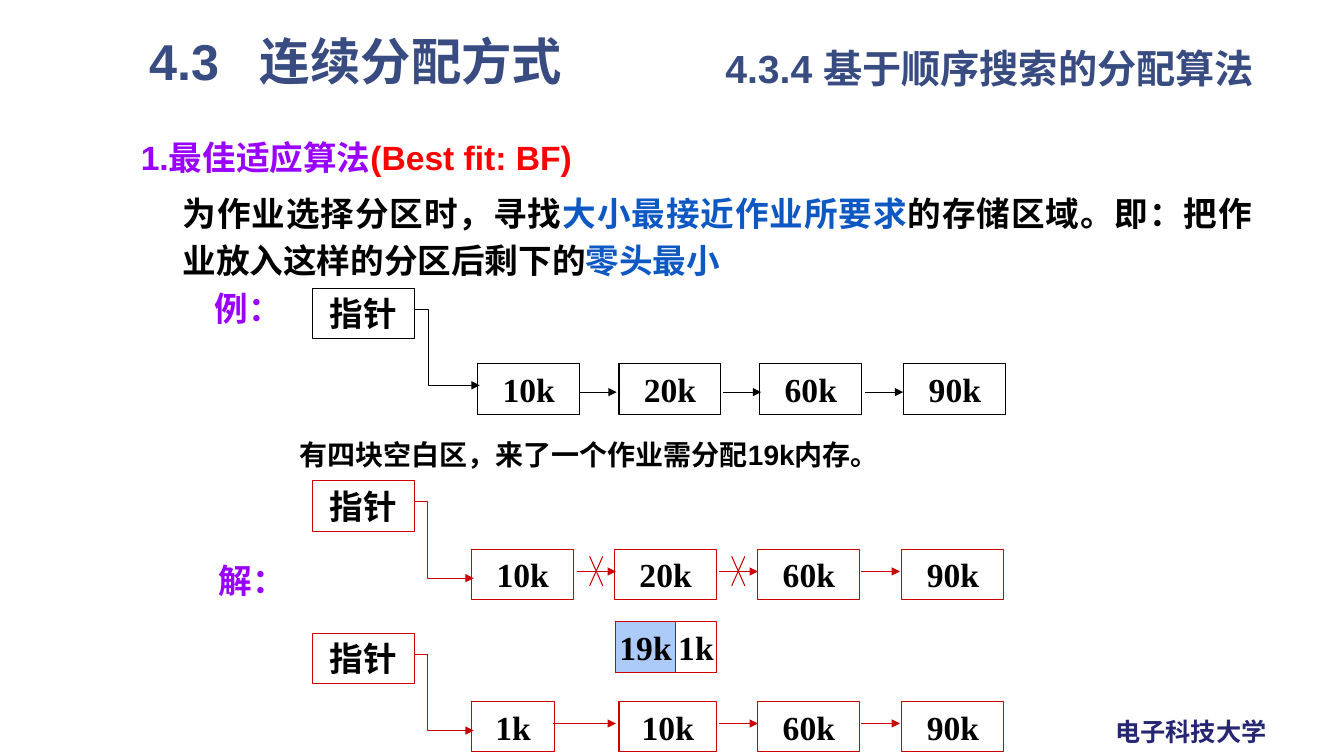
"""Slide on best-fit memory allocation with free-block chains before and after the request."""
from dataclasses import dataclass, field
from typing import Any, Optional

from lxml import etree
from pptx import Presentation
from pptx import util as u
from pptx.dml.color import RGBColor
from pptx.enum import shapes, text
from pptx.oxml.ns import qn

COLORS = {
    "ink": "000000", "red_line": "CC0000", "red": "FF0000", "violet": "9900FF",
    "blue": "0E58C4", "navy": "384C81", "footer": "262673", "allocated": "ACCBF9",
}
SANS, SERIF = "Arial", "Times New Roman"
BLOCK_W, BLOCK_H = 2.57, 1.27
POINTER_LEFT = 7.87
ELBOW_START, ELBOW_DROP = 10.46, 1.92
LINE_WIDTH = u.Pt(0.75)


@dataclass
class Caption:
    left: float
    top: float
    width: float
    height: float
    pieces: list[tuple[str, str]]
    size: int = 24
    face: str = SANS
    wrap: bool = True
    margins: tuple[float, float] = (0.25, 0.13)
    layout: dict[str, Any] = field(default_factory=dict)
    indent: float = 0
    tab: float = 0


@dataclass
class Block:
    label: str
    left: float
    width: float = BLOCK_W


@dataclass
class Chain:
    color: str
    top: float
    blocks_top: float
    arrow_y: float
    elbow_x: float
    elbow_end: float
    blocks: list[Block]
    arrows: list[tuple[float, float]]
    crosses: tuple[float, ...] = ()


JUSTIFY = text.PP_ALIGN.JUSTIFY
CAPTIONS = [
    Caption(27.86, 17.91, 4.37, 1.02, [("电子科技大学", "footer")], 18, wrap=False),
    Caption(3.51, 0.79, 12.8, 1.52, [("4.3\t连续分配方式", "navy")], 36,
            layout={"line_spacing": 0.9}, tab=2.79),
    Caption(18.03, 1.12, 14.1, 1.7, [("4.3.4 基于顺序搜索的分配算法", "navy")], 28,
            layout={"line_spacing": 0.9}),
    Caption(3.3, 3.23, 22.02, 1.4,
            [("1.最佳适应算法", "violet"), ("(Best fit: BF)", "red")],
            layout={"alignment": JUSTIFY, "line_spacing": 1.1}),
    Caption(4.37, 4.62, 27.41, 2.59,
            [("为作业选择分区时，寻找", "ink"), ("大小最接近作业所要求", "blue"),
             ("的存储区域。即：把作业放入这样的分区后剩下的", "ink"), ("零头最小", "blue")],
            margins=(0.23, 0.1), layout={"alignment": JUSTIFY, "line_spacing": 1.15}),
    Caption(5.21, 7.16, 2.13, 1.24, [("例：", "violet")], face=SERIF, wrap=False,
            margins=(0.2, 0.1)),
    Caption(5.82, 10.67, 21.69, 1.22,
            [("有四块空白区，来了一个作业需分配19k内存。", "ink")], 20, margins=(0.2, 0.1),
            layout={"alignment": JUSTIFY, "line_spacing": 1.3}, indent=1.52),
    Caption(5.31, 14.0, 2.13, 1.24, [("解：", "violet")], face=SERIF, wrap=False,
            margins=(0.2, 0.1)),
]

TAIL_ARROWS = [(18.11, 19.1), (21.69, 22.68)]
TAIL_BLOCKS = [Block("60k", 19.1), Block("90k", 22.73)]
CHAINS = [
    Chain("ink", 7.26, 9.17, 9.88, 10.8, 12.09,
          [Block("10k", 12.04), Block("20k", 15.6), Block("60k", 19.15), Block("90k", 22.78)],
          [(14.58, 15.54), (18.21, 19.18), (21.79, 22.76)]),
    Chain("red_line", 12.12, 13.84, 14.4, 10.77, 11.94,
          [Block("10k", 11.89), Block("20k", 15.49), *TAIL_BLOCKS],
          [(14.53, 15.52), *TAIL_ARROWS], (14.86, 18.44)),
    Chain("red_line", 15.96, 17.68, 18.23, 10.77, 11.94,
          [Block("1k", 11.89, 2.08), Block("10k", 15.6, 2.46), *TAIL_BLOCKS],
          [(13.94, 15.52), *TAIL_ARROWS]),
]
SPLIT_TOP = 15.67
SPLIT = [(Block("1k", 17.02, 1.04), None), (Block("19k", 15.52, 1.5), "allocated")]


def rgb(name: str) -> RGBColor:
    return RGBColor.from_string(COLORS[name])


def apply(target: Any, values: dict[str, Any]) -> None:
    for name, value in values.items():
        setattr(target, name, value)


def write(paragraph: Any, pieces: list[tuple[str, str]], size: int, face: str) -> None:
    for wording, color in pieces:
        run = paragraph.add_run()
        run.text = wording
        apply(run.font, {"size": u.Pt(size), "name": face, "bold": True})
        run.font.color.rgb = rgb(color)


def frame_format(margins: tuple[float, float], **extra: Any) -> dict[str, Any]:
    side, edge = (u.Cm(margin) for margin in margins)
    return {"margin_left": side, "margin_right": side,
            "margin_top": edge, "margin_bottom": edge, **extra}


def draw_caption(slide: Any, item: Caption) -> None:
    box = slide.shapes.add_textbox(*map(u.Cm, (item.left, item.top, item.width, item.height)))
    apply(box.text_frame, frame_format(item.margins, word_wrap=item.wrap,
                                       vertical_anchor=text.MSO_ANCHOR.TOP))
    paragraph = box.text_frame.paragraphs[0]
    apply(paragraph, item.layout)
    properties = paragraph._p.get_or_add_pPr()
    if item.indent:
        properties.set("indent", str(u.Cm(item.indent)))
    if item.tab:
        stops = etree.SubElement(properties, qn("a:tabLst"))
        etree.SubElement(stops, qn("a:tab"), pos=str(u.Cm(item.tab)), algn="l")
    write(paragraph, item.pieces, item.size, item.face)


def style_line(shape: Any, color: str, arrow: bool = False) -> None:
    shape.line.width = LINE_WIDTH
    shape.line.color.rgb = rgb(color)
    if arrow:
        outline = shape.element.spPr.find(qn("a:ln"))
        etree.SubElement(outline, qn("a:tailEnd"), type="triangle")


def draw_block(slide: Any, block: Block, top: float, color: str,
               fill: Optional[str] = None) -> None:
    box = slide.shapes.add_shape(shapes.MSO_SHAPE.RECTANGLE,
                                 *map(u.Cm, (block.left, top, block.width, BLOCK_H)))
    box.shadow.inherit = False
    if fill:
        box.fill.solid()
        box.fill.fore_color.rgb = rgb(fill)
    else:
        box.fill.background()
    style_line(box, color)
    apply(box.text_frame, frame_format((0.15, 0.08), word_wrap=False,
                                       vertical_anchor=text.MSO_ANCHOR.MIDDLE))
    paragraph = box.text_frame.paragraphs[0]
    paragraph.alignment = text.PP_ALIGN.CENTER
    write(paragraph, [(block.label, "ink")], 24, SERIF)


def draw_line(slide: Any, ends: tuple[float, float, float, float], color: str,
              arrow: bool = False) -> None:
    line = slide.shapes.add_connector(shapes.MSO_CONNECTOR.STRAIGHT, *map(u.Cm, ends))
    style_line(line, color, arrow)
    etree.SubElement(line.element.spPr, qn("a:effectLst"))


def draw_chain(slide: Any, chain: Chain) -> None:
    draw_block(slide, Block("指针", POINTER_LEFT), chain.top, chain.color)
    start_y = chain.top + 0.53
    end_y = start_y + ELBOW_DROP
    route = [(chain.elbow_x, start_y), (chain.elbow_x, end_y), (chain.elbow_end, end_y)]
    builder = slide.shapes.build_freeform(u.Cm(ELBOW_START), u.Cm(start_y))
    builder.add_line_segments([(u.Cm(x), u.Cm(y)) for x, y in route], close=False)
    elbow = builder.convert_to_shape()
    elbow.shadow.inherit = False
    elbow.fill.background()
    style_line(elbow, chain.color, arrow=True)
    for block in chain.blocks:
        draw_block(slide, block, chain.blocks_top, chain.color)
    for start, end in chain.arrows:
        draw_line(slide, (start, chain.arrow_y, end, chain.arrow_y), chain.color, arrow=True)
    for left in chain.crosses:
        for start, end in ((left, left + 0.33), (left + 0.33, left)):
            draw_line(slide, (start, chain.arrow_y - 0.38, end, chain.arrow_y + 0.36),
                      chain.color)


def main() -> None:
    deck = Presentation()
    apply(deck, {"slide_width": u.Cm(33.87), "slide_height": u.Cm(19.05)})
    slide = deck.slides.add_slide(deck.slide_layouts[6])
    for chain in CHAINS:
        draw_chain(slide, chain)
    for block, fill in SPLIT:
        draw_block(slide, block, SPLIT_TOP, "red_line", fill)
    for item in CAPTIONS:
        draw_caption(slide, item)
    deck.save("out.pptx")


if __name__ == "__main__":
    main()
